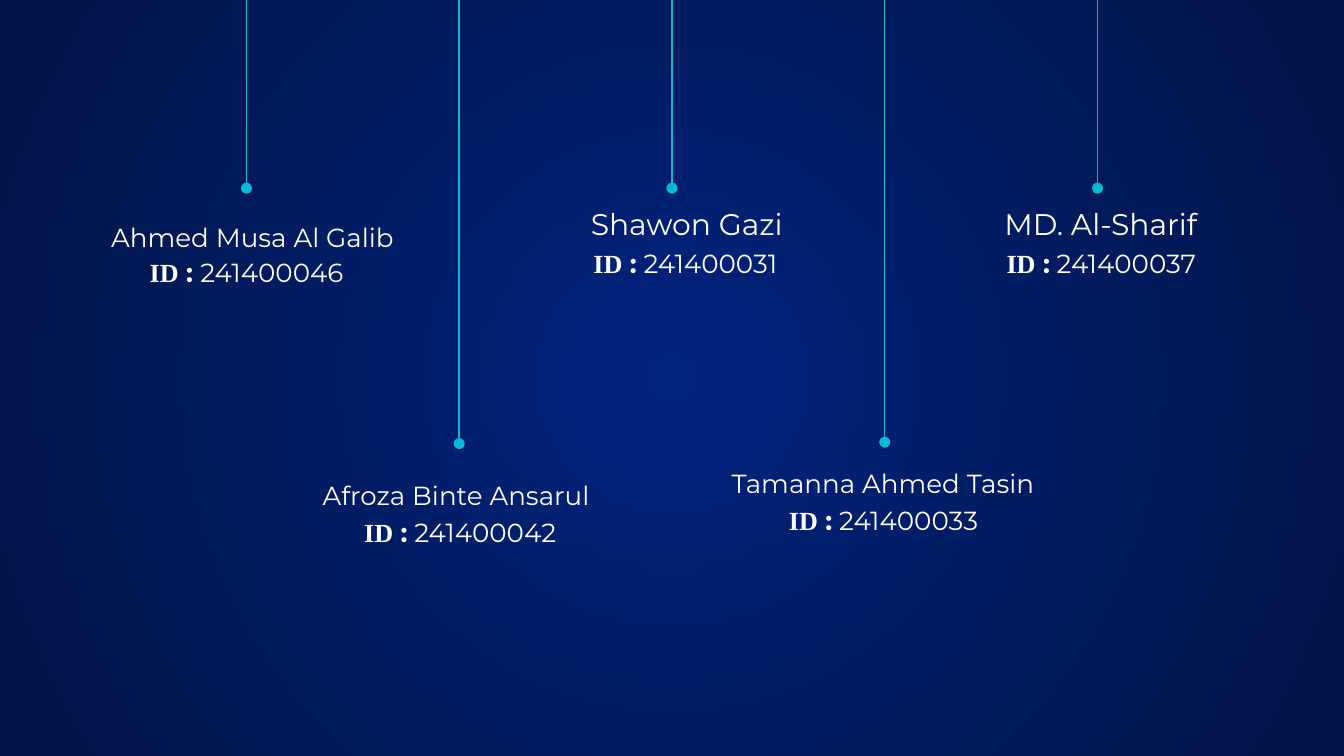
from pptx import Presentation
from pptx.dml.color import RGBColor
from pptx.enum import shapes, text
from pptx.oxml import parse_xml
from pptx.oxml.ns import nsdecls
from pptx.util import Inches, Pt

WIDTH = 10
HEIGHT = WIDTH * 9 / 16
CENTRE = WIDTH / 2
COLUMN = WIDTH * 19 / 120  # gap between neighbouring threads
BLEED = 0.05  # threads run a little past the top edge
COLORS = {"glow": "00237D", "night": "011445", "thread": "06BAD6", "text": "FFFFFF"}
SANS, SERIF = "Montserrat", "Times New Roman"

# thread length, (name, size, left, top, width), (colon, ID, left, top, width)
MEMBERS = [
    (1.4, ("Ahmed Musa Al Galib", 14, 0.43, 1.56, 2.9),
     (" : ", "241400046", 0.77, 1.81, 2.13)),
    (3.3, ("Afroza Binte Ansarul ", 14, 2.06, 3.48, 2.72),
     (" :", " 241400042", 2.36, 3.74, 2.13)),
    (1.4, ("Shawon Gazi", 16, 3.75, 1.48, 2.72),
     (" :", " 241400031", 4.12, 1.74, 1.96)),
    (3.29, ("Tamanna Ahmed Tasin", 14, 5.21, 3.39, 2.72),
     (" :", " 241400033", 5.51, 3.65, 2.13)),
    (1.4, ("MD. Al-Sharif", 16, 6.83, 1.48, 2.72),
     (" :", " 241400037", 7.13, 1.74, 2.13)),
]


def color(name):
    return RGBColor.from_string(COLORS[name])


def paint_background(page):
    """Fill the page with a round glow that darkens outwards."""
    fill = page.background.fill
    fill.gradient()
    for stop, name in zip(fill.gradient_stops, ("glow", "night")):
        stop.color.rgb = color(name)
    gradient = page.element.xpath(".//a:gradFill")[0]
    for linear in gradient.xpath("a:lin"):
        gradient.remove(linear)
    gradient.append(parse_xml(
        f'<a:path {nsdecls("a")} path="circle">'
        '<a:fillToRect l="50000" t="50000" r="50000" b="50000"/></a:path>'))


def add_thread(page, x, length):
    """Hang a line from the top edge, with a dot at its lower end."""
    thread = page.shapes.add_connector(
        shapes.MSO_CONNECTOR.STRAIGHT,
        Inches(x), Inches(length), Inches(x), Inches(-BLEED))
    thread.line.color.rgb = color("thread")
    thread.line.width = Pt(0.75)
    thread.line._get_or_add_ln().append(
        parse_xml(f'<a:headEnd {nsdecls("a")} type="oval"/>'))
    thread._element.spPr.append(parse_xml(f'<a:effectLst {nsdecls("a")}/>'))


def add_label(page, left, top, width, height, anchor, spans):
    """Add one centred line; each span is (words, font, size, bold)."""
    box = page.shapes.add_textbox(
        Inches(left), Inches(top), Inches(width), Inches(height))
    frame = box.text_frame
    frame.word_wrap = True
    frame.vertical_anchor = anchor
    frame.margin_left = frame.margin_right = Inches(0.1)
    frame.margin_top = frame.margin_bottom = Inches(0.1)
    para = frame.paragraphs[0]
    para.alignment = text.PP_ALIGN.CENTER
    for words, font, size, bold in spans:
        span = para.add_run()
        span.text = words
        span.font.name = font
        span.font.size = Pt(size)
        span.font.bold = bold
        span.font.color.rgb = color("text")


def add_name(page, name, size, left, top, width):
    add_label(page, left, top, width, 0.42, text.MSO_ANCHOR.BOTTOM,
              [(name, SANS, size, False)])


def add_number(page, colon, number, left, top, width):
    add_label(page, left, top, width, 0.49, text.MSO_ANCHOR.TOP,
              [("ID", SERIF, 14, True), (colon, SANS, 14, True),
               (number, SANS, 14, False)])


def main():
    deck = Presentation()
    deck.slide_width, deck.slide_height = Inches(WIDTH), Inches(HEIGHT)
    page = deck.slides.add_slide(deck.slide_layouts[6])
    paint_background(page)
    middle = len(MEMBERS) // 2
    for index, (length, name, number) in enumerate(MEMBERS):
        add_thread(page, CENTRE + (index - middle) * COLUMN, length)
        add_name(page, *name)
        add_number(page, *number)
    deck.save("out.pptx")


if __name__ == "__main__":
    main()
